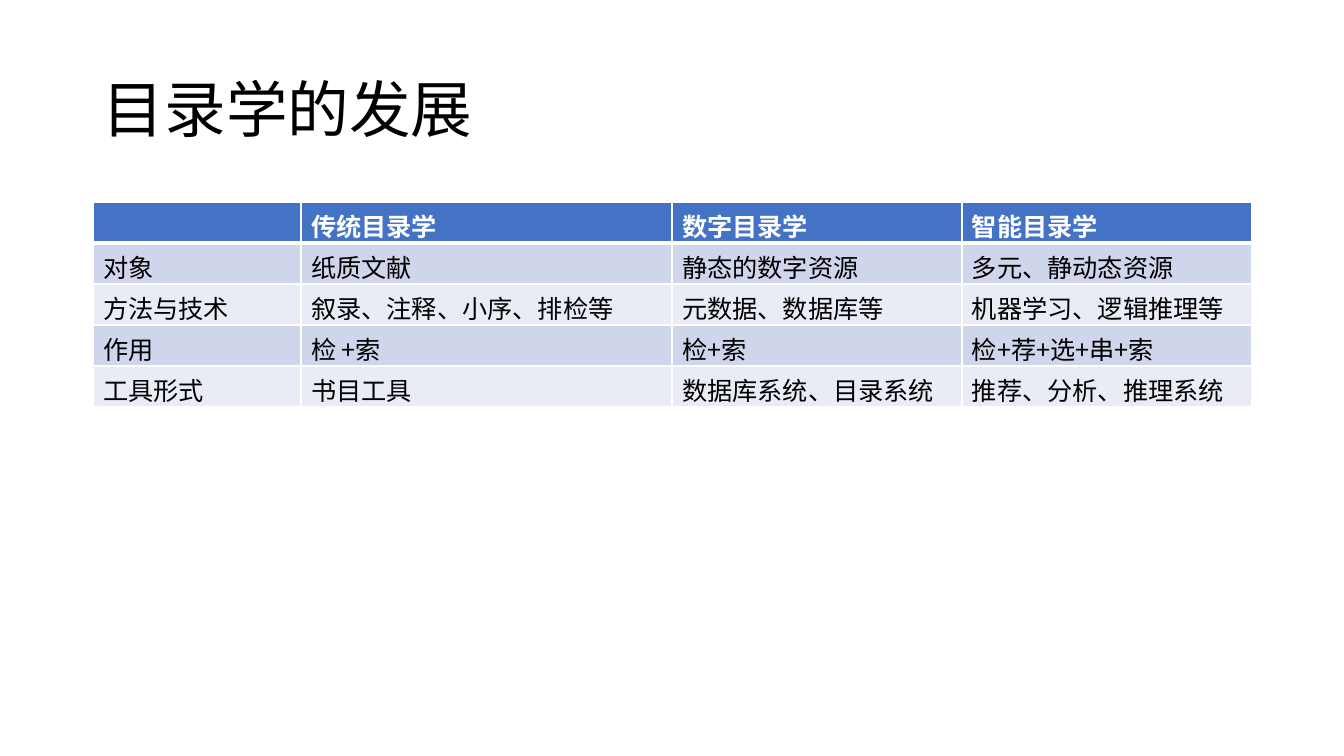
from dataclasses import dataclass

from lxml.etree import SubElement
from pptx import Presentation
from pptx.dml.color import RGBColor
from pptx.enum.lang import MSO_LANGUAGE_ID as Language
from pptx.enum.text import MSO_ANCHOR as Anchor
from pptx.oxml.ns import qn
from pptx.util import Emu, Pt

TITLE = "目录学的发展"
ROWS = [
    ("", "传统目录学", "数字目录学", "智能目录学"),
    ("对象", "纸质文献", "静态的数字资源", "多元、静动态资源"),
    ("方法与技术", "叙录、注释、小序、排检等", "元数据、数据库等", "机器学习、逻辑推理等"),
    ("作用", "检 +索", "检+索", "检+荐+选+串+索"),
    ("工具形式", "书目工具", "数据库系统、目录系统", "推荐、分析、推理系统"),
]

# Lengths in px
SLIDE_SIZE = (1344, 756)
TITLE_BOX = (93, 40, 1159, 146)
TABLE_ORIGIN = (93, 202)
COLUMN_WIDTHS = (208, 371, 290, 290)
ROW_HEIGHT = 41
EMU_PER_PX = 914400 / 100.8


@dataclass(frozen=True)
class Theme:
    font: str = "Noto Sans CJK SC"
    title_size: int = 44
    table_size: int = 18
    text: str = "000000"
    header_text: str = "FFFFFF"
    header_fill: str = "4472C4"
    band_fills: tuple = ("CFD5EA", "E9EBF5")
    border: str = "FFFFFF"
    border_width: int = 1
    header_rule_width: int = 3


THEME = Theme()


def px(length):
    return Emu(round(length * EMU_PER_PX))


def add_run(paragraph, text, size, color, bold=False):
    run = paragraph.add_run()
    run.text = text
    font = run.font
    font.name = THEME.font
    font.size = Pt(size)
    font.bold = bold
    font.color.rgb = RGBColor.from_string(color)
    font.language_id = Language.SIMPLIFIED_CHINESE
    # East Asian text takes its typeface from a separate element
    SubElement(run._r.get_or_add_rPr(), qn("a:ea"), typeface=THEME.font)


def set_borders(cell, widths):
    """Draw left, right, top and bottom borders, ahead of the cell's fill."""
    properties = cell._tc.get_or_add_tcPr()
    for position, (side, width) in enumerate(zip("LRTB", widths)):
        line = SubElement(properties, qn(f"a:ln{side}"), w=str(Pt(width)))
        fill = SubElement(line, qn("a:solidFill"))
        SubElement(fill, qn("a:srgbClr"), val=THEME.border)
        properties.insert(position, line)


def add_title(slide):
    frame = slide.shapes.add_textbox(*map(px, TITLE_BOX)).text_frame
    frame.word_wrap = True
    frame.vertical_anchor = Anchor.MIDDLE
    paragraph = frame.paragraphs[0]
    paragraph.line_spacing = 0.9
    add_run(paragraph, TITLE, THEME.title_size, THEME.text)


def fill_cell(cell, text, row):
    header = row == 0
    fill = THEME.header_fill if header else THEME.band_fills[(row - 1) % 2]
    cell.fill.solid()
    cell.fill.fore_color.rgb = RGBColor.from_string(fill)
    thin, thick = THEME.border_width, THEME.header_rule_width
    set_borders(cell, (thin, thin, thick if row == 1 else thin, thick if header else thin))
    paragraph = cell.text_frame.paragraphs[0]
    if text:
        color = THEME.header_text if header else THEME.text
        add_run(paragraph, text, THEME.table_size, color, bold=header)
    else:
        paragraph.font.size = Pt(THEME.table_size)


def add_comparison_table(slide):
    size = (sum(COLUMN_WIDTHS), ROW_HEIGHT * len(ROWS))
    table = slide.shapes.add_table(
        len(ROWS), len(COLUMN_WIDTHS), *map(px, TABLE_ORIGIN + size)
    ).table
    for column, width in zip(table.columns, COLUMN_WIDTHS):
        column.width = px(width)
    for row, texts in enumerate(ROWS):
        table.rows[row].height = px(ROW_HEIGHT)
        for column, text in enumerate(texts):
            fill_cell(table.cell(row, column), text, row)


def main():
    presentation = Presentation()
    presentation.slide_width, presentation.slide_height = map(px, SLIDE_SIZE)
    slide = presentation.slides.add_slide(presentation.slide_layouts[6])
    add_title(slide)
    add_comparison_table(slide)
    presentation.save("out.pptx")


if __name__ == "__main__":
    main()
